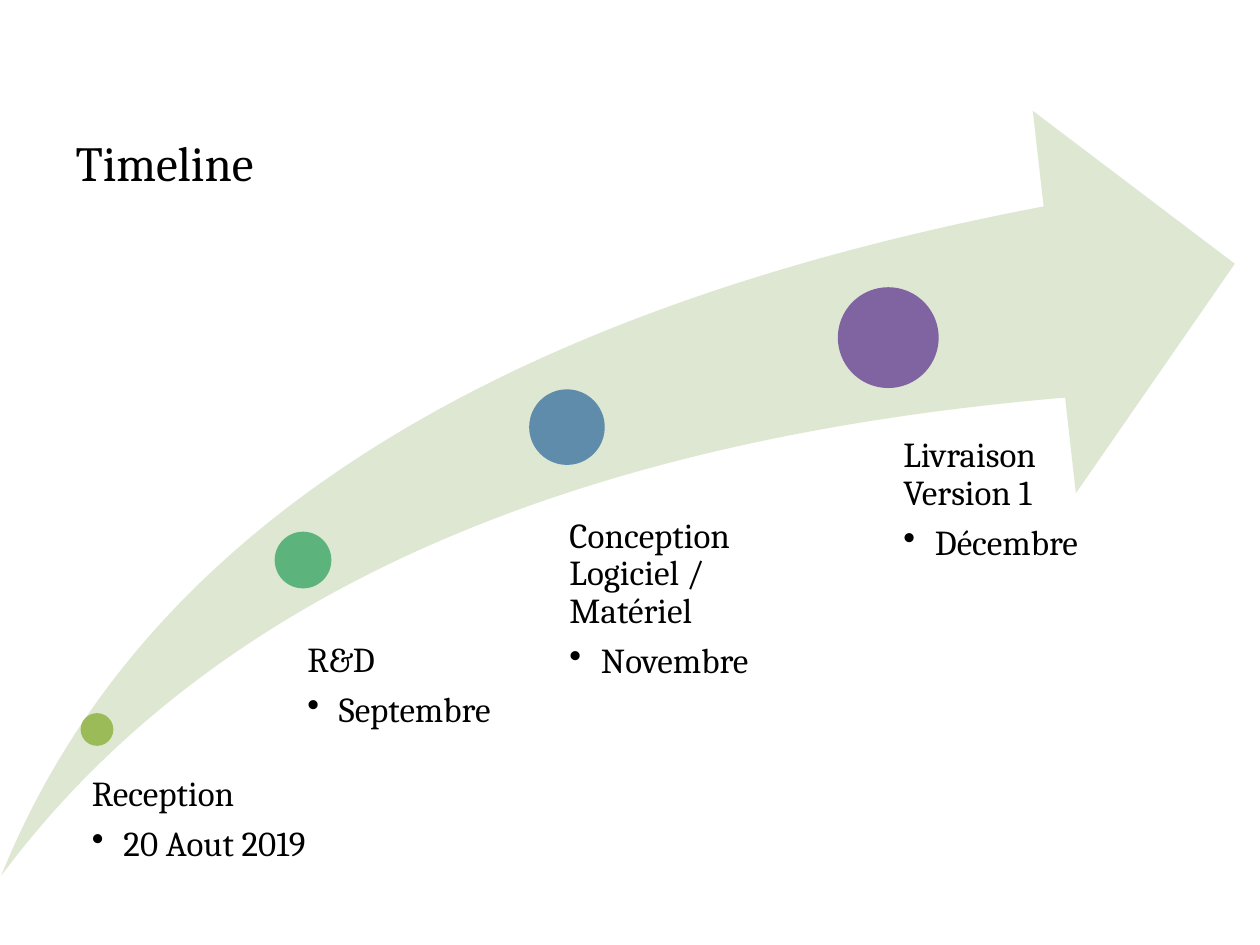
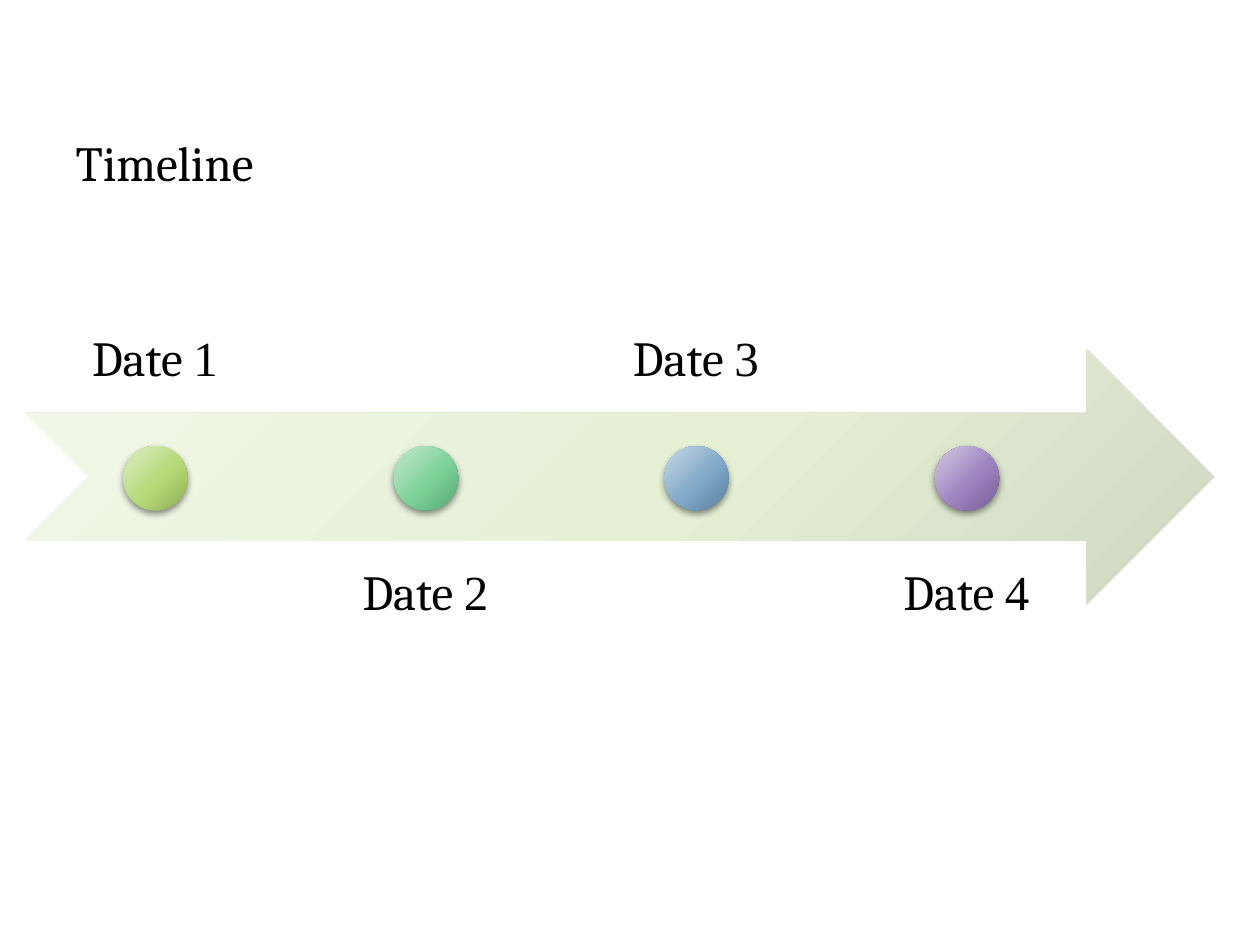
from dataclasses import dataclass
from typing import Any

from lxml.etree import SubElement
from pptx import Presentation
from pptx.dml.color import RGBColor
from pptx.enum.shapes import MSO_SHAPE
from pptx.enum.text import MSO_ANCHOR, MSO_AUTO_SIZE, PP_ALIGN
from pptx.oxml import parse_xml
from pptx.oxml.ns import nsdecls, qn
from pptx.util import Inches, Pt

COLORS = {"text": "000000", "swoosh": "DEE7D1", "shadow": "000000"}
GRADIENTS = {
    "arrow": ("F2F8EA", "E5F0D5", "CFD7C3"),
    "green": ("DDEDC6", "B6DA79", "90AE53"),
    "teal": ("C7E9D1", "7DD298", "56A774"),
    "blue": ("C9D8E5", "81A9C9", "5A829F"),
    "purple": ("D4CBE2", "9E85C1", "775D97"),
}
STOPS = (0, 55, 100)
FONT = "Cambria"
DIGIT_FONT = "Times New Roman"
TITLE_SIZE = 28
LABEL_SIZE = 20
LINE_SPACING = 0.9
INDENT = 0.25

Box = tuple[float, float, float, float]


@dataclass
class Milestone:
    name: str
    when: str
    color: str
    dot: tuple[float, float, float]
    label: Box


MILESTONES = [
    Milestone("Reception", "20 Aout 2019", "9BBB59",
              (0.64, 5.66, 0.26), (0.59, 6.16, 2.33, 1.68)),
    Milestone("R&D", "Septembre", "5CB37C",
              (2.18, 4.22, 0.45), (2.2, 5.1, 2.37, 2.63)),
    Milestone("Conception Logiciel / Matériel", "Novembre", "608CAB",
              (4.2, 3.09, 0.6), (4.2, 4.11, 2.37, 2.65)),
    Milestone("Livraison Version 1", "Décembre", "8064A2",
              (6.65, 2.28, 0.8), (6.75, 3.47, 2.37, 3.26)),
]
INSET_PER_DOT = 0.53

DATE_COLORS = ("green", "teal", "blue", "purple")
DATE_PITCH = 6.44 / 3
DATE_LEFT, DATE_WIDTH, DATE_HEIGHT = 0.21, 2.04, 2.03
DATE_TOPS = (1.25, 4.3)
DATE_INSET = 0.22
DOT_LEFT, DOT_TOP, DOT_SIZE = 0.98, 3.54, 0.51


def apply(target: Any, values: dict[str, Any]) -> None:
    for name, value in values.items():
        setattr(target, name, value)


def add_run(p: Any, text: str, size: float, font: str = FONT) -> None:
    r = p.add_run()
    r.text = text
    apply(r.font, {"name": font, "size": Pt(size)})
    r.font.color.rgb = RGBColor.from_string(COLORS["text"])


def add_title(s: Any, text: str) -> None:
    title = s.shapes.title
    apply(title, {"left": Inches(0.5), "top": Inches(1),
                  "width": Inches(9), "height": Inches(1)})
    tf = title.text_frame
    apply(tf, {"vertical_anchor": MSO_ANCHOR.TOP, "word_wrap": True,
               "auto_size": MSO_AUTO_SIZE.NONE})
    p = tf.paragraphs[0]
    p.alignment = PP_ALIGN.LEFT
    add_run(p, text, TITLE_SIZE)


def add_figure(s: Any, kind: MSO_SHAPE, box: Box) -> Any:
    sp = s.shapes.add_shape(kind, *map(Inches, box))
    sp.shadow.inherit = False
    sp.line.fill.background()
    return sp


def fill_solid(sp: Any, color: str) -> None:
    sp.fill.solid()
    sp.fill.fore_color.rgb = RGBColor.from_string(color)


def fill_radial(sp: Any, colors: tuple[str, ...]) -> None:
    stops = "".join(
        f'<a:gs pos="{stop * 1000}"><a:srgbClr val="{color}"/></a:gs>'
        for stop, color in zip(STOPS, colors))
    gradient = parse_xml(
        f'<a:gradFill {nsdecls("a")} rotWithShape="1"><a:gsLst>{stops}</a:gsLst>'
        '<a:path path="circle"><a:fillToRect l="-40000" t="-90000" '
        'r="140000" b="190000"/></a:path></a:gradFill>')
    sp.element.spPr.find(qn("a:prstGeom")).addnext(gradient)


def add_drop_shadow(sp: Any) -> None:
    effects = sp.element.spPr.find(qn("a:effectLst"))
    effects.append(parse_xml(
        f'<a:outerShdw {nsdecls("a")} blurRad="{Pt(4)}" dist="{Pt(2)}" '
        f'dir="5400000" rotWithShape="0"><a:srgbClr val="{COLORS["shadow"]}">'
        '<a:alpha val="45000"/></a:srgbClr></a:outerShdw>'))


def add_text_frame(s: Any, box: Box, insets: Box, anchor: MSO_ANCHOR) -> Any:
    tf = s.shapes.add_textbox(*map(Inches, box)).text_frame
    sides = ("margin_left", "margin_top", "margin_right", "margin_bottom")
    apply(tf, dict(zip(sides, map(Inches, insets))))
    apply(tf, {"word_wrap": True, "vertical_anchor": anchor})
    return tf


def add_bullet(p: Any) -> None:
    pPr = p._p.get_or_add_pPr()
    pPr.set("marL", str(Inches(INDENT)))
    pPr.set("indent", str(-Inches(INDENT)))
    SubElement(pPr, qn("a:buChar")).set("char", "•")


def add_milestone(s: Any, m: Milestone) -> None:
    left, top, size = m.dot
    fill_solid(add_figure(s, MSO_SHAPE.OVAL, (left, top, size, size)), m.color)
    insets = (round(size * INSET_PER_DOT, 2), 0, 0, 0)
    tf = add_text_frame(s, m.label, insets, MSO_ANCHOR.TOP)
    p = tf.paragraphs[0]
    apply(p, {"line_spacing": LINE_SPACING, "space_after": Pt(7)})
    add_run(p, m.name, LABEL_SIZE)
    p = tf.add_paragraph()
    apply(p, {"level": 1, "line_spacing": LINE_SPACING, "space_after": Pt(3)})
    add_bullet(p)
    add_run(p, m.when, LABEL_SIZE)


def add_date(s: Any, i: int, color: str) -> None:
    shift = i * DATE_PITCH
    below = i % 2
    box = (DATE_LEFT + shift, DATE_TOPS[below], DATE_WIDTH, DATE_HEIGHT)
    anchor = MSO_ANCHOR.TOP if below else MSO_ANCHOR.BOTTOM
    tf = add_text_frame(s, box, (DATE_INSET,) * 4, anchor)
    p = tf.paragraphs[0]
    apply(p, {"alignment": PP_ALIGN.CENTER, "line_spacing": LINE_SPACING})
    add_run(p, "Date ", TITLE_SIZE)
    add_run(p, str(i + 1), TITLE_SIZE, DIGIT_FONT)
    dot = add_figure(s, MSO_SHAPE.OVAL,
                     (DOT_LEFT + shift, DOT_TOP, DOT_SIZE, DOT_SIZE))
    fill_radial(dot, GRADIENTS[color])
    add_drop_shadow(dot)


def add_timeline_slide(prs: Any) -> Any:
    s = prs.slides.add_slide(prs.slide_layouts[5])
    add_title(s, "Timeline")
    return s


def build_milestones(prs: Any) -> None:
    s = add_timeline_slide(prs)
    swoosh = add_figure(s, MSO_SHAPE.SWOOSH_ARROW, (0.01, 0.88, 9.79, 6.07))
    swoosh.adjustments[0] = 0.25
    swoosh.adjustments[1] = 0.25
    fill_solid(swoosh, COLORS["swoosh"])
    for m in MILESTONES:
        add_milestone(s, m)


def build_dates(prs: Any) -> None:
    s = add_timeline_slide(prs)
    arrow = add_figure(s, MSO_SHAPE.NOTCHED_RIGHT_ARROW, (0.2, 2.77, 9.44, 2.03))
    fill_radial(arrow, GRADIENTS["arrow"])
    for i, color in enumerate(DATE_COLORS):
        add_date(s, i, color)


def main() -> None:
    prs = Presentation()
    apply(prs, {"slide_width": Inches(10), "slide_height": Inches(7.5)})
    build_milestones(prs)
    build_dates(prs)
    prs.save("out.pptx")


if __name__ == "__main__":
    main()
